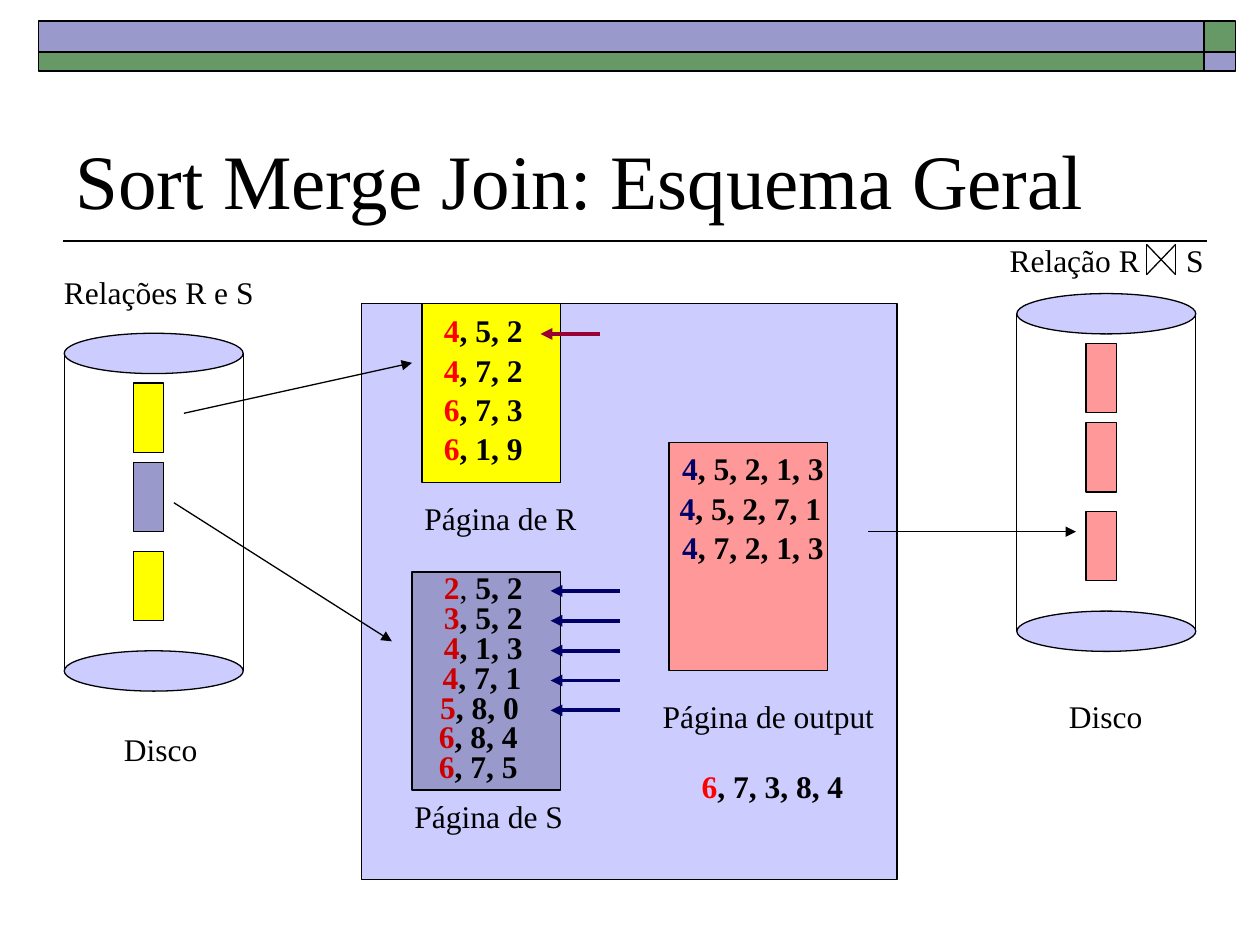
import pptx
import pptx.dml.color
import pptx.enum.shapes
import pptx.enum.text
import pptx.oxml.ns
import pptx.util
from lxml import etree

SHAPE = pptx.enum.shapes.MSO_SHAPE
FONT = "Times New Roman"
BLACK, LILAC, BLUE, GREEN = "000000", "CCCCFF", "9999CC", "669966"
YELLOW, PINK, RED, DARK_RED, NAVY = "FFFF00", "FF9999", "FF0000", "CC0000", "000066"

# The slide is a grid of 100 columns by 75 rows of square cells.
COLS, ROWS = 100, 75


def cells(*counts):
    """Turn grid cells into lengths."""
    return [pptx.util.Inches(n * 10 / COLS) for n in counts]


def rgb(colour):
    return pptx.dml.color.RGBColor.from_string(colour)


def block(s, box, fill, kind=SHAPE.RECTANGLE, width=0.75):
    sp = s.shapes.add_shape(kind, *cells(*box))
    sp.shadow.inherit = False
    sp.fill.solid()
    sp.fill.fore_color.rgb = rgb(fill)
    sp.line.color.rgb = rgb(BLACK)
    sp.line.width = pptx.util.Pt(width)


def line(s, start, end, colour=BLACK, width=0.75, arrow=None):
    """Draw a line; arrow is headEnd (at start) or tailEnd (at end)."""
    cn = s.shapes.add_connector(
        pptx.enum.shapes.MSO_CONNECTOR.STRAIGHT, *cells(*start, *end))
    cn.line.color.rgb = rgb(colour)
    cn.line.width = pptx.util.Pt(width)
    if arrow:
        etree.SubElement(cn.line._get_or_add_ln(),
                         pptx.oxml.ns.qn("a:" + arrow), type="triangle")
    etree.SubElement(cn._element.spPr, pptx.oxml.ns.qn("a:effectLst"))


def add_run(p, text, size=18, colour=BLACK, bold=False):
    r = p.add_run()
    r.text = text
    r.font.name = FONT
    r.font.size = pptx.util.Pt(size)
    r.font.bold = bold
    r.font.color.rgb = rgb(colour)


def label(s, x, y, width, *runs):
    """Place one line of text; each run is (text, colour, bold)."""
    tf = s.shapes.add_textbox(*cells(x, y, width, 4)).text_frame
    tf.word_wrap = False
    tf.auto_size = pptx.enum.text.MSO_AUTO_SIZE.SHAPE_TO_FIT_TEXT
    for text, colour, bold in runs:
        add_run(tf.paragraphs[0], text, 18, colour, bold)


def caption(s, x, y, width, text):
    label(s, x, y, width, (text, BLACK, False))


def record(s, x, y, width, colour, key, rest, light=""):
    """Write a tuple with a coloured key; light is a part that is not bold."""
    runs = [(key, colour, True), (light, BLACK, False), (rest, BLACK, True)]
    label(s, x, y, width, *[run for run in runs if run[0]])


def header(s, box):
    x, y, w, h = box
    side, top = 2.5, 2.5
    block(s, (x + w - side, y, side, top), GREEN, width=1)
    block(s, (x, y, w - side, top), BLUE, width=1)
    block(s, (x, y + top, w - side, h - top), GREEN, width=1)
    block(s, (x + w - side, y + top, side, h - top), BLUE, width=1)


def title(s, box, text):
    sp = s.shapes.title
    sp.left, sp.top, sp.width, sp.height = cells(*box)
    tf = sp.text_frame
    tf.word_wrap = True
    tf.vertical_anchor = pptx.enum.text.MSO_ANCHOR.BOTTOM
    p = tf.paragraphs[0]
    p.alignment = pptx.enum.text.PP_ALIGN.LEFT
    add_run(p, text, 44)
    x, y, w, h = box
    line(s, (x + w + 0.8, y + h + 0.8), (x, y + h + 0.8), width=1)


def disk(s, box, page_fills):
    x, y, w, h = box
    rim = 3.2
    for top in (y, y + h - rim):
        block(s, (x, top, w, rim), LILAC, SHAPE.OVAL)
    for side in (x, x + w):
        line(s, (side, y + rim / 2), (side, y + h - rim / 2))
    for offset, fill in zip((3.95, 10.25, 17.3), page_fills):
        block(s, (x + 5.5, y + offset, 2.4, 5.5), fill)


def page(s, box, fill, colour, first, step, width, records):
    """Draw a memory page; each record is (indent, key, rest, ...)."""
    x, y = box[:2]
    block(s, box, fill)
    for i, (indent, *parts) in enumerate(records):
        record(s, x + indent, y + first + i * step, width, colour, *parts)


def pointers(s, x, y, length, colour, count=1, step=0):
    for i in range(count):
        row = y + i * step
        line(s, (x, row), (x + length, row), colour, 2.25, "headEnd")


def join_sign(s, box):
    x, y, w, h = box
    for a, b, c, d in ((0, 0, 0, 1), (1, 0, 1, 1), (0, 0, 1, 1), (0, 1, 1, 0)):
        line(s, (x + a * w, y + b * h), (x + c * w, y + d * h))


def memory(s, box):
    x, y, w, h = box
    short, long = 8.6, 13.6
    block(s, box, LILAC)
    page(s, (x + 4.8, y, 11, 14.2), YELLOW, RED, 0.1, 3.13, short,
         [(0.75, "4", ", 5, 2"), (0.75, "4", ", 7, 2"),
          (0.75, "6", ", 7, 3"), (0.75, "6", ", 1, 9")])
    pointers(s, x + 14.2, y + 2.4, 4.7, "990033")
    caption(s, x + 4, y + 15, 14.4, "Página de R")

    step = 2.37
    page(s, (x + 4, y + 21.3, 11.8, 17.3), BLUE, DARK_RED, -0.8, step, short,
         [(1.55, "2", "5, 2", ", "), (1.55, "3", ", 5, 2"),
          (1.55, "4", ", 1, 3"), (1.45, "4", ", 7, 1"), (1.25, "5", ", 8, 0"),
          (1.15, "6", ", 8, 4"), (1.15, "6", ", 7, 5")])
    pointers(s, x + 15, y + 22.8, 5.5, NAVY, 5, step)
    caption(s, x + 3.2, y + 38.65, 14.1, "Página de S")

    page(s, (x + 24.4, y + 11, 12.6, 18.1), PINK, NAVY, 0.05, 3.15, long,
         [(0.05, "4", ", 5, 2, 1, 3"), (-0.15, "4", ", 5, 2, 7, 1"),
          (0.05, "4", ", 7, 2, 1, 3")])
    caption(s, x + 22.9, y + 30.7, 19.1, "Página de output")
    record(s, x + 26, y + 36.25, long, RED, "6", ", 7, 3, 8, 4")


def main():
    prs = pptx.Presentation()
    prs.slide_width, prs.slide_height = cells(COLS, ROWS)
    s = prs.slides.add_slide(prs.slide_layouts[5])

    header(s, (3.05, 1.65, 95, 4))
    title(s, (5, 5.85, 90, 12.5), "Sort Merge Join: Esquema Geral")
    memory(s, (28.7, 24.1, 42.5, 45.7))

    disk(s, (5.1, 26.45, 14.2, 28.4), (YELLOW, BLUE, YELLOW))
    caption(s, 4.1, 21.2, 17.6, "Relações R e S")
    caption(s, 8.85, 57.45, 8.2, "Disco")

    disk(s, (80.7, 23.3, 14.2, 28.4), (PINK, PINK, PINK))
    caption(s, 79.15, 18.65, 13.3, "Relação R")
    join_sign(s, (91, 19.4, 2.3, 2.4))
    caption(s, 93.15, 18.65, 3.6, "S")
    caption(s, 83.85, 54.8, 8.2, "Disco")

    for start, end in (((14.6, 32.8), (32.7, 28.8)),
                       ((13.8, 39.9), (31.1, 50.9)),
                       ((68.9, 42.2), (85.4, 42.2))):
        line(s, start, end, arrow="tailEnd")
    prs.save("out.pptx")


if __name__ == "__main__":
    main()
